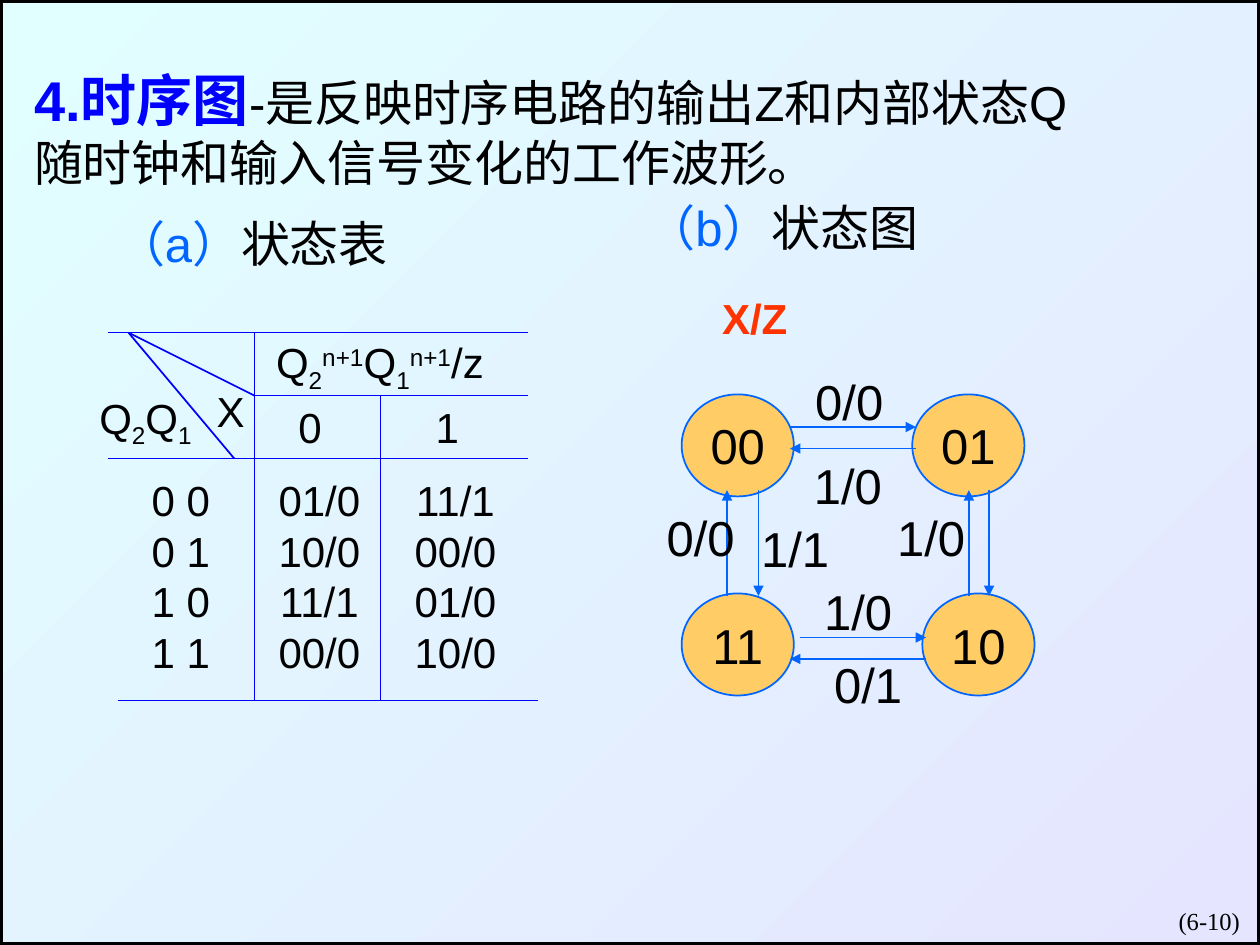
from dataclasses import dataclass

import pptx
import pptx.dml.color
import pptx.enum.shapes
import pptx.enum.text
import pptx.oxml
import pptx.oxml.ns
import pptx.util
from pptx.util import Inches

RGBColor = pptx.dml.color.RGBColor
Align = pptx.enum.text.PP_ALIGN
BLACK = RGBColor(0x00, 0x00, 0x00)
BLUE = RGBColor(0x00, 0x00, 0xFF)
SKY = RGBColor(0x00, 0x66, 0xFF)
RED = RGBColor(0xFF, 0x33, 0x00)
AMBER = RGBColor(0xFF, 0xCC, 0x66)
PALE_CYAN = RGBColor(0xE1, 0xFF, 0xFF)
PALE_LILAC = RGBColor(0xE5, 0xE5, 0xFF)
SUB, SUPER = -25000, 30000


@dataclass(frozen=True)
class Run:
    text: str
    size: float = 24
    color: RGBColor = BLACK
    bold: bool = False
    baseline: int = 0
    font: str = "Arial"


@dataclass(frozen=True)
class Label:
    left: float
    top: float
    width: float
    height: float
    paragraphs: list[list[Run]]


@dataclass(frozen=True)
class Line:
    x1: float
    y1: float
    x2: float
    y2: float


@dataclass(frozen=True)
class State:
    left: float
    top: float
    code: str


def write(shape, paragraphs: list[list[Run]], align=Align.CENTER) -> None:
    frame = shape.text_frame
    frame.word_wrap = False
    frame.auto_size = pptx.enum.text.MSO_AUTO_SIZE.SHAPE_TO_FIT_TEXT
    frame.vertical_anchor = pptx.enum.text.MSO_ANCHOR.MIDDLE
    for index, runs in enumerate(paragraphs):
        paragraph = frame.add_paragraph() if index else frame.paragraphs[0]
        paragraph.alignment = align
        for part in runs:
            run = paragraph.add_run()
            run.text = part.text
            run.font.size = pptx.util.Pt(part.size)
            run.font.name = part.font
            run.font.bold = part.bold
            run.font.color.rgb = part.color
            if part.baseline:
                run.font._element.set("baseline", str(part.baseline))


def add_label(slide, label: Label, align=Align.CENTER) -> None:
    box = slide.shapes.add_textbox(
        Inches(label.left), Inches(label.top), Inches(label.width), Inches(label.height))
    write(box, label.paragraphs, align)


def add_line(slide, line: Line, color: RGBColor, arrow: bool = False) -> None:
    connector = slide.shapes.add_connector(
        pptx.enum.shapes.MSO_CONNECTOR.STRAIGHT,
        Inches(line.x1), Inches(line.y1), Inches(line.x2), Inches(line.y2))
    connector.line.color.rgb = color
    connector.line.width = pptx.util.Pt(1)
    if arrow:
        head = pptx.oxml.parse_xml(
            f'<a:tailEnd {pptx.oxml.ns.nsdecls("a")} type="triangle"/>')
        connector.line._get_or_add_ln().append(head)
    connector._element.spPr.append(
        pptx.oxml.parse_xml(f'<a:effectLst {pptx.oxml.ns.nsdecls("a")}/>'))


def add_state(slide, state: State) -> None:
    oval = slide.shapes.add_shape(
        pptx.enum.shapes.MSO_SHAPE.OVAL,
        Inches(state.left), Inches(state.top), Inches(0.89), Inches(0.81))
    oval.shadow.inherit = False
    oval.fill.solid()
    oval.fill.fore_color.rgb = AMBER
    oval.line.color.rgb = SKY
    oval.line.width = pptx.util.Pt(1)
    write(oval, [[Run(state.code, 28)]])


def add_backdrop(slide, width: int, height: int) -> None:
    backdrop = slide.shapes.add_shape(
        pptx.enum.shapes.MSO_SHAPE.RECTANGLE, 0, 0, width, height)
    backdrop.shadow.inherit = False
    backdrop.fill.gradient()
    backdrop.fill.gradient_angle = 315
    for stop, color in zip(backdrop.fill.gradient_stops, (PALE_CYAN, PALE_LILAC)):
        stop.color.rgb = color
    backdrop.line.color.rgb = BLACK
    backdrop.line.width = pptx.util.Pt(3)
    slide.shapes._spTree.insert(2, backdrop._element)


def add_title(slide) -> None:
    title = slide.shapes.title
    title.left, title.top = Inches(0.17), Inches(0.47)
    title.width, title.height = Inches(9.4), Inches(1.1)
    write(title, [
        [Run("4.时序图", 32, BLUE, True), Run("-是反映时序电路的输出Z和内部状态Q", 28)],
        [Run("随时钟和输入信号变化的工作波形。", 28)],
    ], Align.LEFT)


def add_state_table(slide) -> None:
    rules = [
        Line(0.86, 2.64, 4.19, 2.64), Line(0.86, 3.64, 4.19, 3.64),
        Line(2.02, 3.14, 4.19, 3.14), Line(0.94, 5.56, 4.27, 5.56),
        Line(2.02, 2.64, 2.02, 5.56), Line(3.02, 3.14, 3.02, 5.56),
        Line(2.02, 3.14, 1.02, 2.64), Line(1.02, 2.64, 1.86, 3.64),
    ]
    for rule in rules:
        add_line(slide, rule, BLUE)

    next_state = [Run("Q"), Run("2", baseline=SUB), Run("n+1", baseline=SUPER),
                  Run("Q"), Run("1", baseline=SUB), Run("n+1", baseline=SUPER), Run("/z")]
    present_state = [Run("Q"), Run("2", baseline=SUB), Run("Q"), Run("1", baseline=SUB)]
    headers = [
        Label(2.09, 2.62, 1.85, 0.56, [next_state]),
        Label(0.59, 3.06, 1.13, 0.56, [present_state]),
        Label(1.62, 3.01, 0.42, 0.5, [[Run("X")]]),
        Label(2.27, 3.14, 0.38, 0.5, [[Run("0")]]),
        Label(3.36, 3.14, 0.38, 0.5, [[Run("1")]]),
    ]
    columns = [
        (1.02, 0.83, ["0 0", "0 1", "1 0", "1 1"]),
        (2.11, 0.85, ["01/0", "10/0", "11/1", "00/0"]),
        (3.19, 0.85, ["11/1", "00/0", "01/0", "10/0"]),
    ]
    bodies = [Label(left, 3.72, width, 1.7, [[Run(value)] for value in values])
              for left, width, values in columns]
    for label in headers + bodies:
        add_label(slide, label)


def add_state_diagram(slide) -> None:
    for state in (State(5.41, 3.13, "00"), State(7.24, 3.13, "01"),
                  State(7.32, 4.71, "10"), State(5.41, 4.71, "11")):
        add_state(slide, state)

    transitions = [
        Line(6.27, 3.39, 7.27, 3.39), Line(7.27, 3.56, 6.27, 3.56),
        Line(6.35, 5.06, 7.35, 5.06), Line(7.35, 5.23, 6.27, 5.23),
        Line(6.02, 3.89, 6.02, 4.73), Line(5.77, 4.73, 5.77, 3.89),
        Line(7.85, 3.89, 7.85, 4.73), Line(7.69, 4.73, 7.69, 3.89),
    ]
    for transition in transitions:
        add_line(slide, transition, SKY, arrow=True)

    conditions = [
        (6.37, 2.9, "0/0"), (6.36, 3.56, "1/0"), (7.02, 3.98, "1/0"),
        (6.44, 4.56, "1/0"), (5.19, 3.98, "0/0"), (6.52, 5.14, "0/1"),
        (5.94, 4.06, "1/1"),
    ]
    for left, top, condition in conditions:
        add_label(slide, Label(left, top, 0.74, 0.57, [[Run(condition, 28)]]))
    add_label(slide, Label(5.63, 2.27, 0.72, 0.5, [[Run("X/Z", 24, RED, True)]]))


def main() -> None:
    deck = pptx.Presentation()
    deck.slide_width, deck.slide_height = Inches(10), Inches(7.5)
    slide = deck.slides.add_slide(deck.slide_layouts[5])
    add_backdrop(slide, deck.slide_width, deck.slide_height)
    add_title(slide)
    add_state_table(slide)
    add_state_diagram(slide)
    for left, top, letter, caption in ((0.53, 1.64, "（a）", "状态表"),
                                       (4.74, 1.52, "（b）", "状态图")):
        add_label(slide, Label(left, top, 2.94, 0.57,
                               [[Run(letter, 28, SKY), Run(caption, 28)]]))
    page_number = Run("(6-10)", 14, font="Times New Roman")
    add_label(slide, Label(7.86, 7.14, 2.08, 0.34, [[page_number]]), Align.RIGHT)
    deck.save("out.pptx")


if __name__ == "__main__":
    main()
